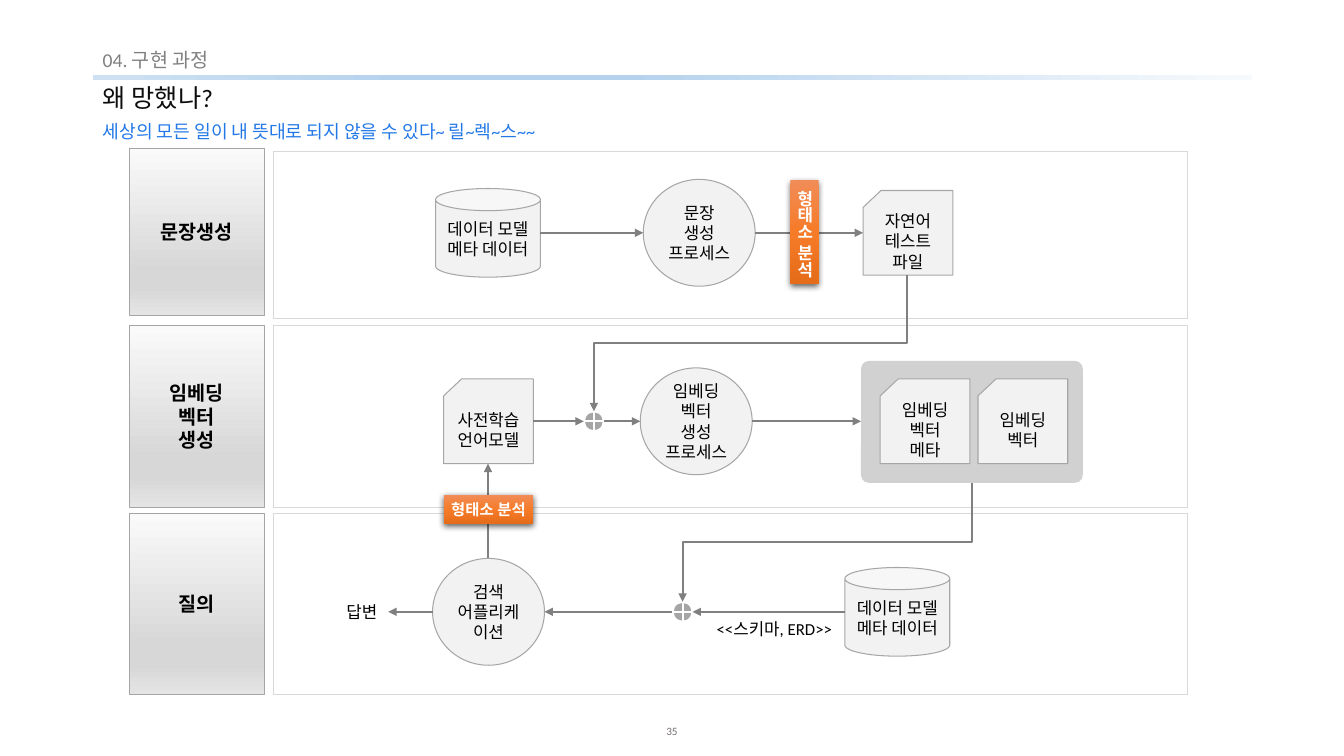
from dataclasses import dataclass

from lxml import etree
from pptx import Presentation
from pptx import util as u
from pptx.dml.color import RGBColor
from pptx.enum import dml, shapes, text
from pptx.oxml.ns import qn

PX = 9144
FONT = "Calibri"
BLACK = RGBColor(0x00, 0x00, 0x00)
WHITE = RGBColor(0xFF, 0xFF, 0xFF)
INK = RGBColor(0x0D, 0x0D, 0x0D)
GRAY = RGBColor(0x80, 0x80, 0x80)
NUMBER_GRAY = RGBColor(0x76, 0x71, 0x71)
BLUE = RGBColor(0x22, 0x78, 0xE7)
NODE_FILL = RGBColor(0xF2, 0xF2, 0xF2)
NODE_LINE = RGBColor(0xA6, 0xA6, 0xA6)
MID_GRAY = RGBColor(0xA5, 0xA5, 0xA5)
PANEL_LINE = RGBColor(0xD9, 0xD9, 0xD9)
SILVER = RGBColor(0xD7, 0xD7, 0xD7)
SKY = RGBColor(0xB5, 0xD2, 0xEC)
RULE_STOPS = [(0, RGBColor(0xF7, 0xFA, 0xFD)), (54, SKY), (73, SKY),
              (100, RGBColor(0xCE, 0xE1, 0xF2))]
LABEL_STOPS = [(0, RGBColor(0xFA, 0xFA, 0xFA)), (74, SILVER), (83, SILVER),
               (100, RGBColor(0xE4, 0xE4, 0xE4))]
TAG_STOPS = [(0, RGBColor(0xF1, 0x8C, 0x57)), (50, RGBColor(0xF6, 0x7B, 0x28)),
             (100, RGBColor(0xE5, 0x6C, 0x19))]
KIND = shapes.MSO_SHAPE
NODE_SIZES = {KIND.CAN: (104, 88), KIND.FLOWCHART_CONNECTOR: (111, 106),
              KIND.FLOWCHART_CARD: (89, 84), KIND.FLOWCHART_OR: (20, 20)}


@dataclass
class Box:
    """A rectangle in px with its edge midpoints."""
    left: int
    top: int
    width: int
    height: int

    def inner(self, left, top, width, height):
        """Return a box placed relative to this one."""
        return Box(self.left + left, self.top + top, width, height)

    def emu(self):
        """Return the position and size in EMU."""
        return [u.Emu(n * PX) for n in (self.left, self.top, self.width, self.height)]

    def edge(self, side):
        """Return the midpoint of the named side."""
        across, down = {"left": (0, 1), "right": (2, 1), "top": (1, 0), "bottom": (1, 2)}[side]
        return self.left + self.width * across // 2, self.top + self.height * down // 2


def write(frame, lines, size, color, bold=False, align=text.PP_ALIGN.CENTER,
          anchor=text.MSO_ANCHOR.MIDDLE, margins=(4, 5, 4, 5), wrap=True, spacing=None):
    """Fill a text frame with one paragraph per line."""
    frame.word_wrap = wrap
    frame.auto_size = text.MSO_AUTO_SIZE.NONE
    frame.vertical_anchor = anchor
    (frame.margin_left, frame.margin_top,
     frame.margin_right, frame.margin_bottom) = [u.Emu(n * PX) for n in margins]
    for index, line in enumerate(lines):
        para = frame.add_paragraph() if index else frame.paragraphs[0]
        para.alignment = align
        para.line_spacing = spacing
        span = para.add_run()
        span.text = line
        span.font.name, span.font.size, span.font.bold = FONT, u.Pt(size), bold
        span.font.color.rgb = color


def add_text(page, box, lines, size, color, **style):
    """Add a text box."""
    write(page.shapes.add_textbox(*box.emu()).text_frame, lines, size, color, **style)


def add_shape(page, kind, box, fill=None, line=None, width=0.75):
    """Add a flat preset shape with optional fill and outline."""
    shape = page.shapes.add_shape(kind, *box.emu())
    shape.shadow.inherit = False
    if fill is None:
        shape.fill.background()
    else:
        shape.fill.solid()
        shape.fill.fore_color.rgb = fill
    if line is None:
        shape.line.fill.background()
    else:
        shape.line.color.rgb = line
        shape.line.width = u.Pt(width)
    return shape


def shade(shape, stops, angle):
    """Give a shape a linear gradient."""
    shape.fill.gradient()
    shape.fill.gradient_angle = angle
    stop_list = shape.element.spPr.find(qn("a:gradFill")).find(qn("a:gsLst"))
    for old in list(stop_list):
        stop_list.remove(old)
    for position, color in stops:
        stop = etree.SubElement(stop_list, qn("a:gs"), pos=str(position * 1000))
        etree.SubElement(stop, qn("a:srgbClr"), val=str(color))


def add_node(page, kind, panel, left, top, lines=()):
    """Add a flow node inside a panel and return its box."""
    box = panel.inner(left, top, *NODE_SIZES[kind])
    if kind == KIND.FLOWCHART_OR:
        add_shape(page, kind, box, MID_GRAY, WHITE, 1.5)
    else:
        write(add_shape(page, kind, box, NODE_FILL, NODE_LINE).text_frame, lines, 12, BLACK)
    return box


def add_arrow(page, start, end, bent=False):
    """Draw an arrow, straight or stepping down, across and down."""
    kind = shapes.MSO_CONNECTOR.STRAIGHT
    ends = [*start, *end]
    if bent:
        kind = shapes.MSO_CONNECTOR.ELBOW
        center_x, center_y = (start[0] + end[0]) / 2, (start[1] + end[1]) / 2
        half_x, half_y = (end[1] - start[1]) / 2, (start[0] - end[0]) / 2
        ends = [center_x - half_x, center_y - half_y, center_x + half_x, center_y + half_y]
    arrow = page.shapes.add_connector(kind, *[u.Emu(round(n * PX)) for n in ends])
    arrow.line.color.rgb = GRAY
    arrow.line.width = u.Pt(1.5)
    properties = arrow.element.spPr
    if bent:
        properties.find(qn("a:xfrm")).set("rot", "5400000")
    etree.SubElement(properties.find(qn("a:ln")), qn("a:tailEnd"), type="triangle")
    etree.SubElement(properties, qn("a:effectLst"))


def add_tag(page, box, size, vertical=False):
    """Add an orange tag with a soft shadow."""
    tag = add_shape(page, KIND.RECTANGLE, box)
    shade(tag, TAG_STOPS, 270)
    write(tag.text_frame, ["형태소 분석"], size, WHITE, bold=True, wrap=False)
    if vertical:
        tag.element.txBody.find(qn("a:bodyPr")).set("vert", "eaVert")
    shadow = etree.SubElement(tag.element.spPr.find(qn("a:effectLst")), qn("a:outerShdw"),
                              blurRad="57150", dist="19050", dir="5400000", rotWithShape="0")
    color = etree.SubElement(shadow, qn("a:srgbClr"), val="000000")
    etree.SubElement(color, qn("a:alpha"), val="63000")


def draw_header(page, box):
    """Place the section name, rule, title and subtitle."""
    style = dict(align=text.PP_ALIGN.LEFT, margins=(10, 5, 10, 5), spacing=0.9)
    rule = add_shape(page, KIND.RECTANGLE, box.inner(0, 29, box.width, 5))
    shade(rule, RULE_STOPS, 180)
    title = page.shapes.title
    title.left, title.top, title.width, title.height = box.inner(0, 35, box.width, 38).emu()
    write(title.text_frame, ["왜 망했나?"], 18, INK, **style)
    style["anchor"] = text.MSO_ANCHOR.TOP
    add_text(page, box.inner(0, 0, box.width, 32), ["04. 구현 과정"], 14, GRAY, **style)
    add_text(page, box.inner(0, 72, box.width, 28),
             ["세상의 모든 일이 내 뜻대로 되지 않을 수 있다~ 릴~렉~스~~"], 13, BLUE, **style)


def draw_lane(page, box, lines, label_shift=0):
    """Draw a lane's label and frame; return the frame box."""
    panel = box.inner(143, 0, box.width - 143, box.height)
    frame = add_shape(page, KIND.RECTANGLE, panel, line=PANEL_LINE, width=0.25)
    frame.line.dash_style = dml.MSO_LINE.ROUND_DOT
    label = add_shape(page, KIND.RECTANGLE, box.inner(0, label_shift, 134, box.height),
                      line=MID_GRAY, width=0.5)
    shade(label, LABEL_STOPS, 270)
    write(label.text_frame, lines, 14, BLACK, bold=True)
    return panel


def draw_sentence_lane(page, box):
    """Draw sentence generation; return the text file's box."""
    panel = draw_lane(page, box, ["문장생성"], label_shift=-3)
    data = add_node(page, KIND.CAN, panel, 161, 37, ["데이터 모델", "메타 데이터"])
    process = add_node(page, KIND.FLOWCHART_CONNECTOR, panel, 367, 28, ["문장", "생성", "프로세스"])
    file = add_node(page, KIND.FLOWCHART_CARD, panel, 585, 39, ["자연어", "테스트", "파일"])
    for source, target in ((data, process), (process, file)):
        add_arrow(page, source.edge("right"), target.edge("left"))
    add_tag(page, panel.inner(513, 29, 28, 103), 12, vertical=True)
    return file


def draw_embedding_lane(page, box):
    """Draw vector generation; return the model, junction and store boxes."""
    panel = draw_lane(page, box, ["임베딩", "벡터", "생성"])
    store = panel.inner(583, 35, 220, 121)
    tray = add_shape(page, KIND.ROUNDED_RECTANGLE, store, MID_GRAY)
    tray.adjustments[0] = 0.065
    color = tray.element.spPr.find(qn("a:solidFill")).find(qn("a:srgbClr"))
    etree.SubElement(color, qn("a:alpha"), val="50000")
    card = KIND.FLOWCHART_CARD
    add_node(page, card, store, 19, 18, ["임베딩", "벡터", "메타"])
    add_node(page, card, store, 116, 18, ["임베딩", "벡터"])
    model = add_node(page, card, panel, 169, 53, ["사전학습", "언어모델"])
    junction = add_node(page, KIND.FLOWCHART_OR, panel, 308, 85)
    process = add_node(page, KIND.FLOWCHART_CONNECTOR, panel, 364, 42,
                       ["임베딩", "벡터", "생성", "프로세스"])
    for source, target in ((model, junction), (junction, process), (process, store)):
        add_arrow(page, source.edge("right"), target.edge("left"))
    return model, junction, store


def draw_query_lane(page, box):
    """Draw the query flow; return the search and junction boxes."""
    panel = draw_lane(page, box, ["질의"])
    search = add_node(page, KIND.FLOWCHART_CONNECTOR, panel, 158, 45, ["검색", "어플리케이션"])
    junction = add_node(page, KIND.FLOWCHART_OR, panel, 396, 88)
    data = add_node(page, KIND.CAN, panel, 567, 54, ["데이터 모델", "메타 데이터"])
    answer = panel.inner(67, 83, 47, 30)
    for source, target in ((data, junction), (junction, search), (search, answer)):
        add_arrow(page, source.edge("left"), target.edge("right"))
    top = text.MSO_ANCHOR.TOP
    add_text(page, panel.inner(67, 83, 42, 30), ["답변"], 12, BLACK, anchor=top, wrap=False)
    add_text(page, panel.inner(433, 100, 128, 30), ["<<스키마, ERD>>"], 12, BLACK, anchor=top)
    return search, junction


def draw_flow(page, box):
    """Stack the three lanes and link them."""
    file = draw_sentence_lane(page, box.inner(0, 0, box.width, 166))
    model, merge, store = draw_embedding_lane(page, box.inner(0, 173, box.width, 180))
    search, junction = draw_query_lane(page, box.inner(0, 359, box.width, 180))
    add_arrow(page, file.edge("bottom"), merge.edge("top"), bent=True)
    add_arrow(page, store.edge("bottom"), junction.edge("top"), bent=True)
    add_arrow(page, search.edge("top"), model.edge("bottom"))
    add_tag(page, box.inner(312, 341, 89, 29), 11)


def main():
    """Build and save the deck."""
    deck = Presentation()
    deck.slide_width, deck.slide_height = u.Emu(1333 * PX), u.Emu(750 * PX)
    page = deck.slides.add_slide(deck.slide_layouts[5])
    draw_header(page, Box(92, 45, 1150, 100))
    draw_flow(page, Box(128, 150, 1050, 539))
    add_text(page, Box(647, 707, 39, 40), ["35"], 8, NUMBER_GRAY, margins=(0, 5, 0, 8))
    deck.save("out.pptx")


if __name__ == "__main__":
    main()
